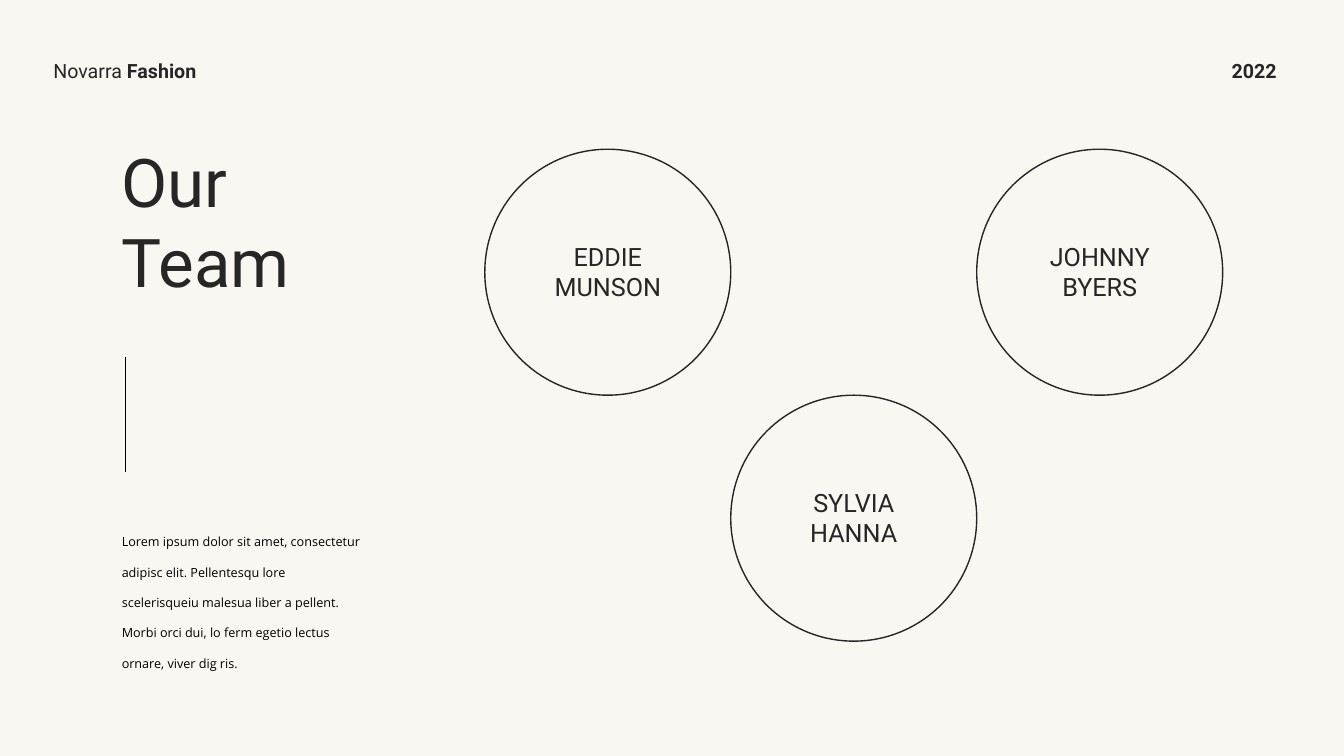
from dataclasses import dataclass

from lxml import etree
from pptx import Presentation
from pptx.dml.color import RGBColor
from pptx.enum.shapes import MSO_CONNECTOR, MSO_SHAPE
from pptx.enum.text import MSO_AUTO_SIZE, PP_ALIGN
from pptx.oxml.ns import qn
from pptx.slide import Slide
from pptx.util import Pt

ELLIPSE = MSO_SHAPE.OVAL
STRAIGHT = MSO_CONNECTOR.STRAIGHT
GROW = MSO_AUTO_SIZE.SHAPE_TO_FIT_TEXT
LEFT, CENTER = PP_ALIGN.LEFT, PP_ALIGN.CENTER

COLORS = {"background": "F9F7F1", "ink": "262626", "black": "000000"}

# Circles touch corner to corner on a square grid
DIAMETER = 175.7
GRID_LEFT, GRID_TOP = 346.3, 106.6
NAME_WIDTH, NAME_HEIGHT = 110, 51


@dataclass
class Run:
    text: str
    bold: bool = False


@dataclass
class Label:
    left: float
    top: float
    width: float
    height: float
    runs: list[Run]
    size: float
    font: str = "Roboto"
    color: str = "ink"
    align: PP_ALIGN = LEFT
    wrap: bool = True
    line_spacing: float = 1.0


@dataclass
class Member:
    name: str
    column: int
    row: int


LABELS = [
    Label(31, 38.2, 131.8, 24.2, [Run("Novarra "), Run("Fashion", True)], 14, wrap=False),
    Label(872.6, 38.2, 49, 24.2, [Run("2022", True)], 14, wrap=False),
    Label(79.9, 96.5, 165, 123.8, [Run("Our Team")], 48),
    Label(79.9, 367.2, 188, 91.4, [Run(
        "Lorem ipsum dolor sit amet, consectetur adipisc elit. Pellentesqu lore "
        "scelerisqueiu malesua liber a pellent. Morbi orci dui, lo ferm egetio "
        "lectus ornare, viver dig ris.")],
        9, font="Open Sans", color="black", line_spacing=2.0),
]

MEMBERS = [
    Member("EDDIE MUNSON", 0, 0),
    Member("JOHNNY BYERS", 2, 0),
    Member("SYLVIA HANNA", 1, 1),
]


def rgb(name: str) -> RGBColor:
    return RGBColor.from_string(COLORS[name])


def add_label(slide: Slide, label: Label) -> None:
    box = slide.shapes.add_textbox(
        Pt(label.left), Pt(label.top), Pt(label.width), Pt(label.height))
    frame = box.text_frame
    frame.word_wrap = label.wrap
    frame.auto_size = GROW
    paragraph = frame.paragraphs[0]
    paragraph.alignment = label.align
    paragraph.line_spacing = label.line_spacing
    for item in label.runs:
        run = paragraph.add_run()
        run.text = item.text
        run.font.name = label.font
        run.font.size = Pt(label.size)
        run.font.bold = item.bold
        run.font.color.rgb = rgb(label.color)


def add_member(slide: Slide, member: Member) -> None:
    left = GRID_LEFT + member.column * DIAMETER
    top = GRID_TOP + member.row * DIAMETER
    circle = slide.shapes.add_shape(
        ELLIPSE, Pt(left), Pt(top), Pt(DIAMETER), Pt(DIAMETER))
    circle.shadow.inherit = False
    circle.fill.background()
    circle.line.color.rgb = rgb("ink")
    circle.line.width = Pt(1)
    add_label(slide, Label(
        left + (DIAMETER - NAME_WIDTH) / 2, top + (DIAMETER - NAME_HEIGHT) / 2,
        NAME_WIDTH, NAME_HEIGHT, [Run(member.name)], 18, align=CENTER))


def add_divider(slide: Slide, x: float, top: float, bottom: float) -> None:
    divider = slide.shapes.add_connector(STRAIGHT, Pt(x), Pt(top), Pt(x), Pt(bottom))
    divider.line.color.rgb = rgb("black")
    divider.line.width = Pt(0.5)
    etree.SubElement(divider._element.spPr, qn("a:effectLst"))


def main() -> None:
    presentation = Presentation()
    presentation.slide_width, presentation.slide_height = Pt(960), Pt(540)
    slide = presentation.slides.add_slide(presentation.slide_layouts[6])
    slide.background.fill.solid()
    slide.background.fill.fore_color.rgb = rgb("background")

    # Team circles with names
    for member in MEMBERS:
        add_member(slide, member)

    # Header, title and description
    for label in LABELS:
        add_label(slide, label)

    # Line between title and description
    add_divider(slide, 89.8, 255, 337)

    presentation.save("out.pptx")


if __name__ == "__main__":
    main()
